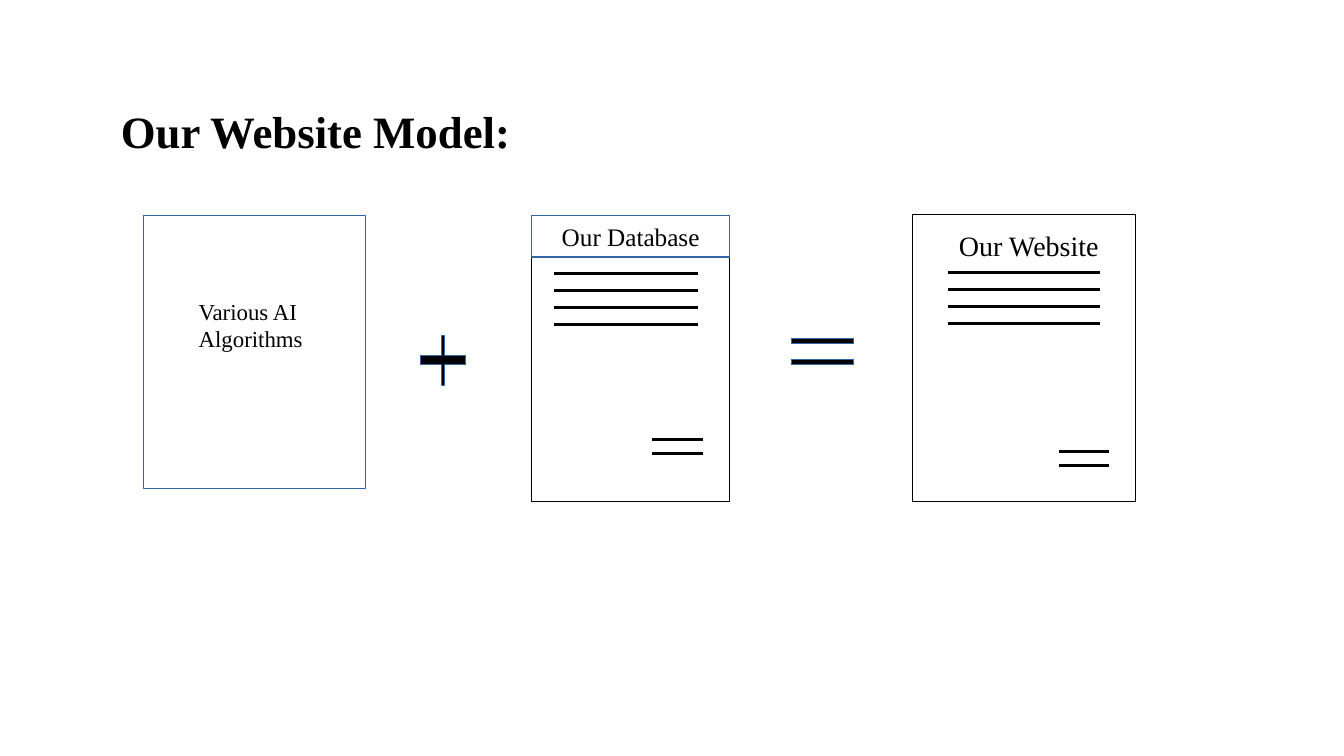
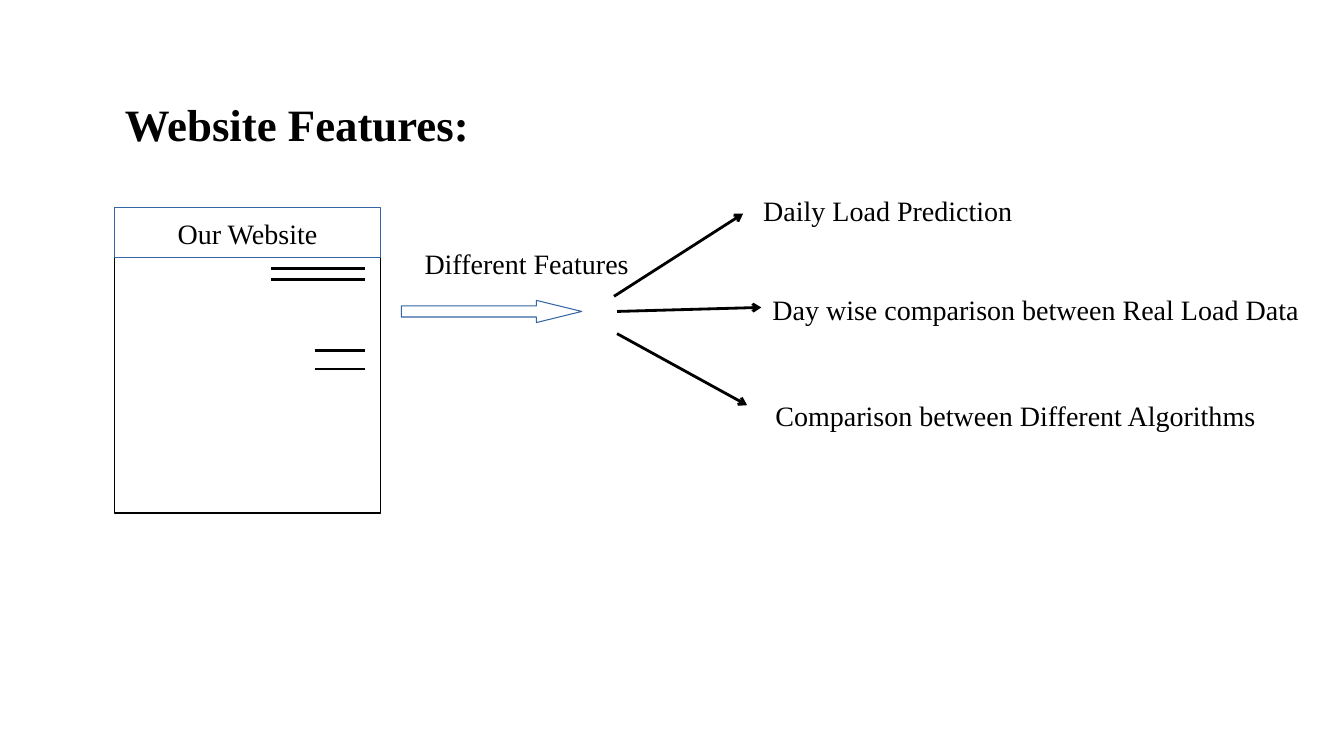
from dataclasses import dataclass

from lxml import etree
from pptx import Presentation
from pptx.dml.color import RGBColor
from pptx.enum.shapes import MSO_CONNECTOR, MSO_SHAPE
from pptx.enum.text import MSO_ANCHOR, PP_ALIGN
from pptx.oxml.ns import qn
from pptx.util import Pt

PX = 9144  # EMU per px, 100 px to the inch
RECTANGLE, RIGHT_ARROW = MSO_SHAPE.RECTANGLE, MSO_SHAPE.RIGHT_ARROW
STRAIGHT = MSO_CONNECTOR.STRAIGHT
LEFT, CENTER = PP_ALIGN.LEFT, PP_ALIGN.CENTER
TOP, MIDDLE = MSO_ANCHOR.TOP, MSO_ANCHOR.MIDDLE


@dataclass(frozen=True)
class Theme:
    font: str = "Times New Roman"
    black: RGBColor = RGBColor(0x00, 0x00, 0x00)
    white: RGBColor = RGBColor(0xFF, 0xFF, 0xFF)
    blue: RGBColor = RGBColor(0x34, 0x65, 0xA4)
    title: float = 32
    label: float = 20
    header: float = 18
    note: float = 16.3
    hairline: int = 0


theme = Theme()


def write(shape, text, size=theme.label, bold=False, wrap=False,
          align=LEFT, anchor=TOP, margins=(9, 4)):
    frame = shape.text_frame
    frame.word_wrap = wrap
    frame.vertical_anchor = anchor
    frame.margin_left = frame.margin_right = margins[0] * PX
    frame.margin_top = frame.margin_bottom = margins[1] * PX
    paragraph = frame.paragraphs[0]
    paragraph.alignment = align
    run = paragraph.add_run()
    run.text = text
    run.font.name = theme.font
    run.font.size = Pt(size)
    run.font.bold = bold
    run.font.color.rgb = theme.black


def draw_line(slide, start, end, arrow=False):
    line = slide.shapes.add_connector(STRAIGHT, *(value * PX for value in start + end))
    line.line.color.rgb = theme.black
    line.line.width = theme.hairline
    properties = line._element.spPr
    if arrow:
        etree.SubElement(properties.find(qn("a:ln")), qn("a:tailEnd"), type="arrow")
    etree.SubElement(properties, qn("a:effectLst"))


presentation = Presentation()
presentation.slide_width = 1333 * PX
presentation.slide_height = 750 * PX
blank = presentation.slide_layouts[6]
model = presentation.slides.add_slide(blank)
features = presentation.slides.add_slide(blank)

# Titles
for slide, text, box in [
    (model, "Our Website Model:", (110, 98, 438, 64)),
    (features, "Website Features:", (114, 91, 468, 64)),
]:
    title = slide.shapes.add_textbox(*(value * PX for value in box))
    write(title, text, size=theme.title, bold=True, wrap=True, margins=(10, 5))

# Cards, card headers and the bars of the equals sign
outlined = []
for slide, box, fill, outline, text, size in [
    (model, (142, 214, 221, 271), theme.white, theme.blue, None, None),
    (model, (527, 214, 197, 284), theme.white, theme.black, None, None),
    (model, (527, 214, 197, 41), theme.white, theme.blue, "Our Database", theme.header),
    (model, (785, 336, 62, 5), theme.black, theme.blue, None, None),
    (model, (785, 357, 62, 5), theme.black, theme.blue, None, None),
    (model, (905, 213, 221, 285), theme.white, theme.black, None, None),
    (features, (114, 209, 263, 300), theme.white, theme.black, None, None),
    (features, (114, 206, 263, 50), theme.white, theme.blue, "Our Website", theme.label),
]:
    rectangle = slide.shapes.add_shape(RECTANGLE, *(value * PX for value in box))
    outlined.append((rectangle, fill, outline))
    if text:
        write(rectangle, text, size=size, align=CENTER, anchor=MIDDLE)

# Plus sign
plus_points = [(438, 333), (441, 333), (441, 353), (462, 353), (462, 362), (441, 362),
               (441, 382), (438, 382), (438, 362), (417, 362), (417, 353), (438, 353)]
builder = model.shapes.build_freeform(*plus_points[0], scale=PX)
builder.add_line_segments(plus_points[1:], close=True)
outlined.append((builder.convert_to_shape(), theme.black, theme.blue))

# Block arrow from the website to its features
block_arrow = features.shapes.add_shape(
    RIGHT_ARROW, 398 * PX, 298 * PX, 179 * PX, 22 * PX)
block_arrow.adjustments[0] = 0.5
block_arrow.adjustments[1] = 45 / 22
outlined.append((block_arrow, theme.white, theme.blue))

for shape, fill, outline in outlined:
    shape.shadow.inherit = False
    shape.fill.solid()
    shape.fill.fore_color.rgb = fill
    shape.line.color.rgb = outline
    shape.line.width = theme.hairline

# Ruled lines inside the cards
for slide, left, right, top, gap, count in [
    (model, 549, 692, 271, 17, 4),
    (model, 647, 697, 436, 14, 2),
    (model, 940, 1091, 270, 17, 4),
    (model, 1050, 1100, 448, 14, 2),
    (features, 269, 362, 266, 11, 2),
    (features, 312, 362, 348, 18, 2),
]:
    for index in range(count):
        y = top + index * gap
        draw_line(slide, (left, y), (right, y))

# Arrows to the features
for start, end in [
    ((609, 294), (737, 212)),
    ((612, 309), (755, 305)),
    ((612, 331), (741, 402)),
]:
    draw_line(features, start, end, arrow=True)

# Labels
for slide, text, box, text_format in [
    (model, "Various AI Algorithms", (188, 291, 192, 114),
     {"size": theme.note, "wrap": True}),
    (model, "Our Website", (942, 223, 158, 41), {}),
    (features, "Different Features", (412, 241, 222, 41), {}),
    (features, "Daily Load Prediction", (748, 188, 267, 41), {}),
    (features, "Day wise comparison between Real Load Data", (757, 286, 545, 41), {}),
    (features, "Comparison between Different Algorithms", (760, 391, 498, 41), {}),
]:
    label = slide.shapes.add_textbox(*(value * PX for value in box))
    write(label, text, **text_format)

presentation.save("out.pptx")
